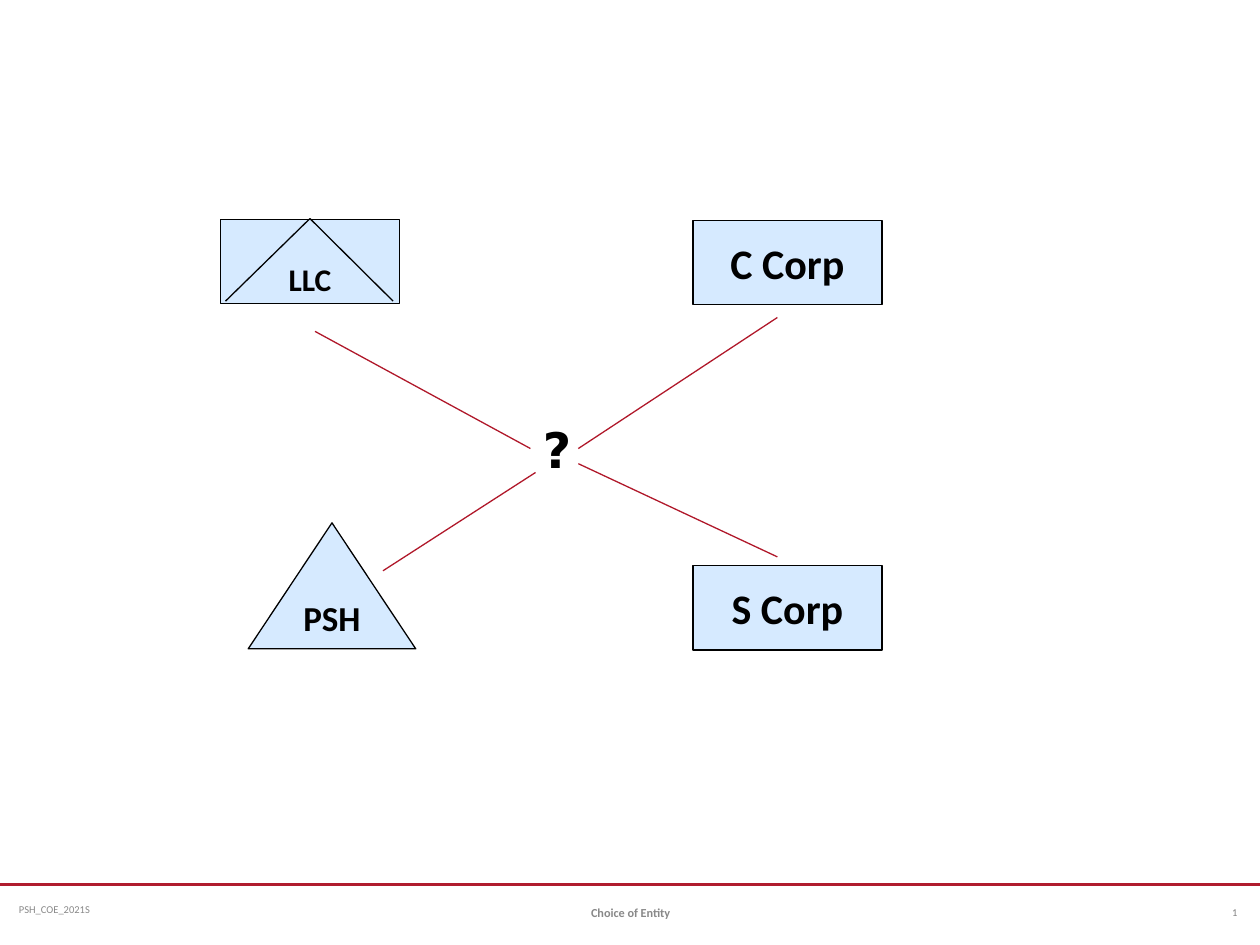
import pptx
import pptx.util
import pptx.dml.color
import pptx.enum.shapes
import pptx.enum.text
import pptx.oxml

Inches, Pt = pptx.util.Inches, pptx.util.Pt
RGB = pptx.dml.color.RGBColor.from_string
SHAPE = pptx.enum.shapes.MSO_SHAPE
ANCHOR = pptx.enum.text.MSO_ANCHOR
ALIGN = pptx.enum.text.PP_ALIGN

THEME = {
    "fill": "D6EAFF", "ink": "000000", "spoke": "B0182A", "rule": "B01C2E",
    "grey": "898989", "number": "808080",
    "font": "Calibri", "mark_font": "DejaVu Sans",
    "corp": 24, "psh": 20, "llc": 18, "mark": 28, "footer": 6, "title": 7,
    "thin": 0.75, "thick": 1.25,
}

# Content: text, box (left, top, width, height), then format
ENTITIES = [
    ("C Corp", (5.5, 1.75, 1.5, 0.67), SHAPE.RECTANGLE, "corp", ANCHOR.MIDDLE),
    ("LLC", (1.75, 1.74, 1.42, 0.67), SHAPE.RECTANGLE, "llc", ANCHOR.BOTTOM),
    ("PSH", (1.97, 4.15, 1.33, 1), SHAPE.ISOSCELES_TRIANGLE, "psh", ANCHOR.MIDDLE),
    ("S Corp", (5.5, 4.49, 1.5, 0.67), SHAPE.RECTANGLE, "corp", ANCHOR.MIDDLE),
]
FOOTERS = [
    ("PSH_COE_2021S", (0.08, 7.02, 2.58, 0.4), "footer", "grey", False, ALIGN.LEFT, (0.07, 0.04)),
    ("1", (9.42, 7.04, 0.5, 0.4), "footer", "number", False, ALIGN.RIGHT, (0.1, 0.05)),
    ("Choice of Entity", (3.42, 7.08, 3.17, 0.32), "title", "grey", True, ALIGN.CENTER, (0.1, 0.05)),
]
QUESTION = ("?", (4.21, 3.28, 0.38, 0.57))
ROOF_PEAK, ROOF_FEET = (2.46, 1.735), [(1.79, 2.39), (3.12, 2.39)]
SPOKES = [
    ((6.17, 2.52), (4.59, 3.56)),
    ((2.5, 2.63), (4.21, 3.56)),
    ((3.04, 4.53), (4.25, 3.75)),
    ((6.17, 4.42), (4.59, 3.68)),
]
RULE = ((0, 7.02), (10, 7.02))


def set_attrs(obj, values):
    for name, value in values.items():
        setattr(obj, name, value)


def write(sp, text, size, color="ink", font="font", bold=True,
          align=ALIGN.CENTER, anchor=ANCHOR.MIDDLE, wrap=False, inset=(0.1, 0.05)):
    tf = sp.text_frame
    x, y = map(Inches, inset)
    set_attrs(tf, {"word_wrap": wrap, "vertical_anchor": anchor,
                   "margin_left": x, "margin_right": x,
                   "margin_top": y, "margin_bottom": y})
    p = tf.paragraphs[0]
    p.alignment = align
    r = p.add_run()
    r.text = text
    set_attrs(r.font, {"name": THEME[font], "size": Pt(THEME[size]), "bold": bold})
    r.font.color.rgb = RGB(THEME[color])


def stroke(line, color, width):
    line.color.rgb = RGB(THEME[color])
    line.width = Pt(THEME[width])


def add_line(s, start, end, color, width="thin"):
    c = s.shapes.add_connector(pptx.enum.shapes.MSO_CONNECTOR.STRAIGHT,
                               *map(Inches, start + end))
    stroke(c.line, color, width)
    c._element.spPr.append(pptx.oxml.parse_xml(
        '<a:effectLst xmlns:a="http://schemas.openxmlformats.org/drawingml/2006/main"/>'))


def main():
    prs = pptx.Presentation()
    set_attrs(prs, {"slide_width": Inches(10), "slide_height": Inches(7.5)})
    s = prs.slides.add_slide(prs.slide_layouts[6])

    # Footer rule and texts
    add_line(s, *RULE, "rule", "thick")
    for text, box, size, color, bold, align, inset in FOOTERS:
        sp = s.shapes.add_textbox(*map(Inches, box))
        write(sp, text, size, color, bold=bold, align=align, wrap=True, inset=inset)

    # Entity shapes
    for text, box, kind, size, anchor in ENTITIES:
        sp = s.shapes.add_shape(kind, *map(Inches, box))
        sp.shadow.inherit = False
        sp.fill.solid()
        sp.fill.fore_color.rgb = RGB(THEME["fill"])
        stroke(sp.line, "ink", "thin")
        write(sp, text, size, anchor=anchor)

    # Roof inside the LLC box
    for foot in ROOF_FEET:
        add_line(s, ROOF_PEAK, foot, "ink")

    # Question mark and its spokes
    text, box = QUESTION
    sp = s.shapes.add_textbox(*map(Inches, box))
    write(sp, text, "mark", font="mark_font", anchor=ANCHOR.TOP)
    sp.text_frame.auto_size = pptx.enum.text.MSO_AUTO_SIZE.SHAPE_TO_FIT_TEXT
    for start, end in SPOKES:
        add_line(s, start, end, "spoke")

    prs.save("out.pptx")


if __name__ == "__main__":
    main()
